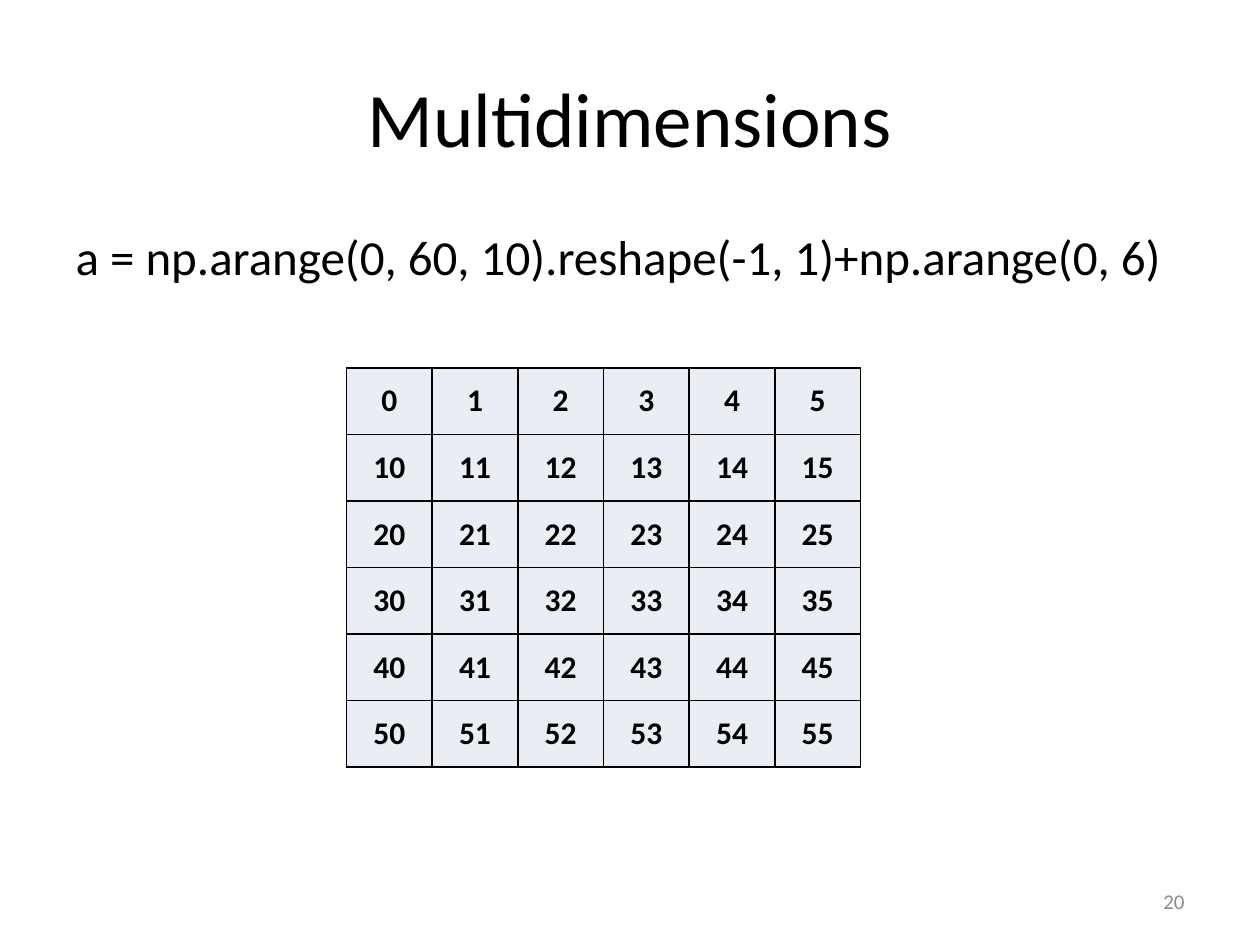
from dataclasses import dataclass

from lxml.etree import SubElement
from pptx import Presentation
from pptx.dml.color import RGBColor
from pptx.enum.text import MSO_ANCHOR, PP_ALIGN
from pptx.oxml.ns import qn
from pptx.util import Inches, Pt


@dataclass(frozen=True)
class Theme:
    font: str = "Calibri"
    ink: str = "000000"
    muted: str = "8C8C8C"
    cell_fill: str = "E9EDF4"
    title_size: int = 44
    body_size: int = 28
    cell_size: int = 18
    number_size: int = 12
    border_width: int = 1


class SlideBuilder:
    def __init__(self, slide, theme):
        self.slide = slide
        self.theme = theme

    def place(self, shape, left, top, width, height):
        shape.left, shape.top = Inches(left), Inches(top)
        shape.width, shape.height = Inches(width), Inches(height)

    def add_text(self, frame, text, size, align, color=None, bold=False):
        paragraph = frame.paragraphs[0]
        paragraph.alignment = align
        run = paragraph.add_run()
        run.text = text
        run.font.name = self.theme.font
        run.font.size = Pt(size)
        run.font.bold = bold
        run.font.color.rgb = RGBColor.from_string(color or self.theme.ink)
        return paragraph

    def title(self, text, *box):
        heading = self.slide.shapes.title
        self.place(heading, *box)
        heading.text_frame.vertical_anchor = MSO_ANCHOR.MIDDLE
        self.add_text(heading.text_frame, text, self.theme.title_size, PP_ALIGN.CENTER)

    def body(self, text, *box):
        statement = self.slide.placeholders[1]
        self.place(statement, *box)
        paragraph = self.add_text(statement.text_frame, text, self.theme.body_size, PP_ALIGN.LEFT)
        # Hanging indent without a bullet
        properties = paragraph._p.get_or_add_pPr()
        properties.set("marL", str(Inches(0.38)))
        properties.set("indent", str(-Inches(0.38)))
        SubElement(properties, qn("a:buNone"))

    def border(self, cell):
        properties = cell._tc.get_or_add_tcPr()
        for side in ("a:lnL", "a:lnR", "a:lnT", "a:lnB"):
            line = SubElement(properties, qn(side), w=str(Pt(self.theme.border_width)))
            fill = SubElement(line, qn("a:solidFill"))
            SubElement(fill, qn("a:srgbClr"), val=self.theme.ink)

    def table(self, values, left, top, width, height):
        grid = self.slide.shapes.add_table(
            len(values), len(values[0]),
            Inches(left), Inches(top), Inches(width), Inches(height),
        ).table
        grid.first_row = grid.horz_banding = False
        for row, row_values in zip(grid.rows, values):
            for cell, value in zip(row.cells, row_values):
                self.border(cell)
                cell.fill.solid()
                cell.fill.fore_color.rgb = RGBColor.from_string(self.theme.cell_fill)
                cell.vertical_anchor = MSO_ANCHOR.MIDDLE
                self.add_text(cell.text_frame, str(value), self.theme.cell_size,
                              PP_ALIGN.CENTER, bold=True)

    def page_number(self, text, *box):
        number = self.slide.shapes.add_textbox(*map(Inches, box))
        number.text_frame.word_wrap = True
        number.text_frame.vertical_anchor = MSO_ANCHOR.MIDDLE
        self.add_text(number.text_frame, text, self.theme.number_size,
                      PP_ALIGN.RIGHT, self.theme.muted)


def main():
    deck = Presentation()
    deck.slide_width, deck.slide_height = Inches(10), Inches(7.5)
    builder = SlideBuilder(deck.slides.add_slide(deck.slide_layouts[1]), Theme())

    # Title and the expression
    builder.title("Multidimensions", 0.5, 0.3, 9, 1.25)
    builder.body("a = np.arange(0, 60, 10).reshape(-1, 1)+np.arange(0, 6)",
                 0.5, 1.75, 9, 4.95)

    # Resulting array: a column of tens plus a row of units
    array = [[tens + units for units in range(6)] for tens in range(0, 60, 10)]
    builder.table(array, 2.75, 2.92, 4.08, 3.17)

    # Footer
    builder.page_number("20", 7.17, 6.95, 2.33, 0.4)
    deck.save("out.pptx")


if __name__ == "__main__":
    main()
